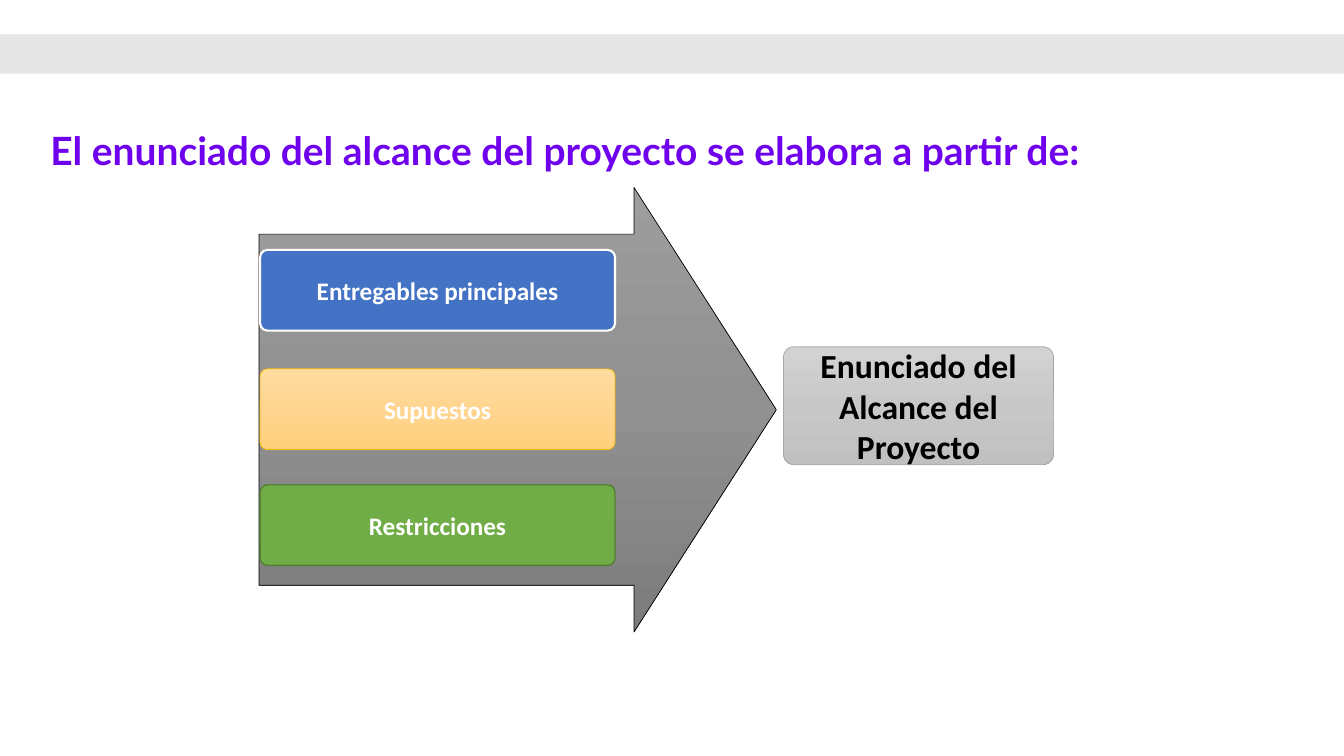
"""Build the slide showing what the project scope statement is made from."""
from copy import deepcopy
from dataclasses import dataclass, field
from typing import Any, Optional

from pptx import Presentation
from pptx.dml.color import RGBColor
from pptx.dml.fill import FillFormat
from pptx.enum.shapes import MSO_SHAPE as Preset
from pptx.enum.text import MSO_ANCHOR as Anchor, PP_ALIGN as Align
from pptx.util import Pt

EMU_PER_PX = 9144


@dataclass(frozen=True)
class Theme:
    band: str = "E7E6E6"
    title: str = "6E00ED"
    dark: str = "000000"
    light: str = "FFFFFF"
    blue: str = "4472C4"
    green: str = "70AD47"
    green_edge: str = "538035"
    gold_edge: str = "FFC000"
    grey_edge: str = "A5A5A5"
    arrow: tuple[str, ...] = ("9D9D9D", "909090", "7C7C7C")
    gold: tuple[str, ...] = ("FFDB9E", "FFD590", "FFD07C")
    silver: tuple[str, ...] = ("D2D2D2", "C8C8C8", "C0C0C0")
    title_font: str = "Lato"
    body_font: str = "Calibri"
    title_size: float = 27.8
    result_size: float = 24
    input_size: float = 18


THEME = Theme()


@dataclass(frozen=True)
class Label:
    text: str
    size: float
    color: str
    font: str = THEME.body_font
    wrap: bool = True
    frame: dict[str, Any] = field(default_factory=dict)
    paragraph: dict[str, Any] = field(default_factory=lambda: {"alignment": Align.CENTER})


@dataclass(frozen=True)
class Block:
    preset: Preset
    box: tuple[int, int, int, int]
    fill: tuple[str, ...]
    edge: Optional[str] = None
    edge_width: float = 0.5
    adjustments: tuple[float, ...] = ()
    label: Optional[Label] = None


def px(*lengths: int) -> list[int]:
    """Convert pixel lengths to EMU."""
    return [length * EMU_PER_PX for length in lengths]


def apply(target: Any, values: dict[str, Any]) -> None:
    """Set each named attribute on the target."""
    for name, value in values.items():
        setattr(target, name, value)


def paint(fill: FillFormat, shape: Any, colors: tuple[str, ...]) -> None:
    """Fill with one colour, or with evenly spaced stops from top to bottom."""
    if len(colors) == 1:
        fill.solid()
        fill.fore_color.rgb = RGBColor.from_string(colors[0])
        return
    fill.gradient()
    fill.gradient_angle = 270
    stop_list = shape.element.spPr.find(".//{*}gsLst")
    while len(stop_list) < len(colors):
        stop_list.append(deepcopy(stop_list[0]))
    for index, (stop, color) in enumerate(zip(fill.gradient_stops, colors)):
        stop.position = index / (len(colors) - 1)
        stop.color.rgb = RGBColor.from_string(color)


def write(shape: Any, label: Label) -> None:
    """Write a bold label, centred vertically, into a shape."""
    frame = shape.text_frame
    apply(frame, {"word_wrap": label.wrap, "vertical_anchor": Anchor.MIDDLE, **label.frame})
    paragraph = frame.paragraphs[0]
    apply(paragraph, label.paragraph)
    run = paragraph.add_run()
    run.text = label.text
    apply(run.font, {"name": label.font, "size": Pt(label.size), "bold": True})
    run.font.color.rgb = RGBColor.from_string(label.color)


def draw(slide: Any, block: Block) -> None:
    """Draw one filled shape with its outline and label."""
    shape = slide.shapes.add_shape(block.preset, *px(*block.box))
    shape.shadow.inherit = False
    for index, value in enumerate(block.adjustments):
        shape.adjustments[index] = value
    paint(shape.fill, shape, block.fill)
    if block.edge:
        shape.line.color.rgb = RGBColor.from_string(block.edge)
        shape.line.width = Pt(block.edge_width)
    else:
        shape.line.fill.background()
    if block.label:
        write(shape, block.label)


def input_bar(top: int, text: str, fill: tuple[str, ...], edge: str, width: float) -> Block:
    """Describe one input bar lying on the arrow."""
    label = Label(text, THEME.input_size, THEME.light, wrap=False)
    return Block(Preset.ROUNDED_RECTANGLE, (258, top, 352, 80), fill, edge, width, (0.09,), label)


TITLE = Label(
    "El enunciado del alcance del proyecto se elabora a partir de:",
    THEME.title_size, THEME.title, THEME.title_font,
    frame={f"margin_{side}": 0 for side in ("left", "top", "right", "bottom")},
    paragraph={"alignment": Align.LEFT, "line_spacing": 0.6},
)
RESULT = Label("Enunciado del Alcance del Proyecto", THEME.result_size, THEME.dark)
BAND = Block(Preset.RECTANGLE, (0, 34, 1333, 39), (THEME.band,))
DIAGRAM = (
    Block(Preset.RIGHT_ARROW, (257, 186, 513, 441), THEME.arrow, THEME.dark,
          adjustments=(0.79, 0.32)),
    input_bar(248, "Entregables principales", (THEME.blue,), THEME.light, 1.5),
    input_bar(366, "Supuestos", THEME.gold, THEME.gold_edge, 0.5),
    input_bar(481, "Restricciones", (THEME.green,), THEME.green_edge, 1),
    Block(Preset.ROUNDED_RECTANGLE, (777, 344, 268, 117), THEME.silver, THEME.grey_edge,
          adjustments=(0.09,), label=RESULT),
)


def main() -> None:
    """Build and save the presentation."""
    presentation = Presentation()
    presentation.slide_width, presentation.slide_height = px(1333, 750)
    slide = presentation.slides.add_slide(presentation.slide_layouts[6])
    draw(slide, BAND)
    write(slide.shapes.add_textbox(*px(50, 130, 1098, 52)), TITLE)
    for block in DIAGRAM:
        draw(slide, block)
    presentation.save("out.pptx")


if __name__ == "__main__":
    main()
